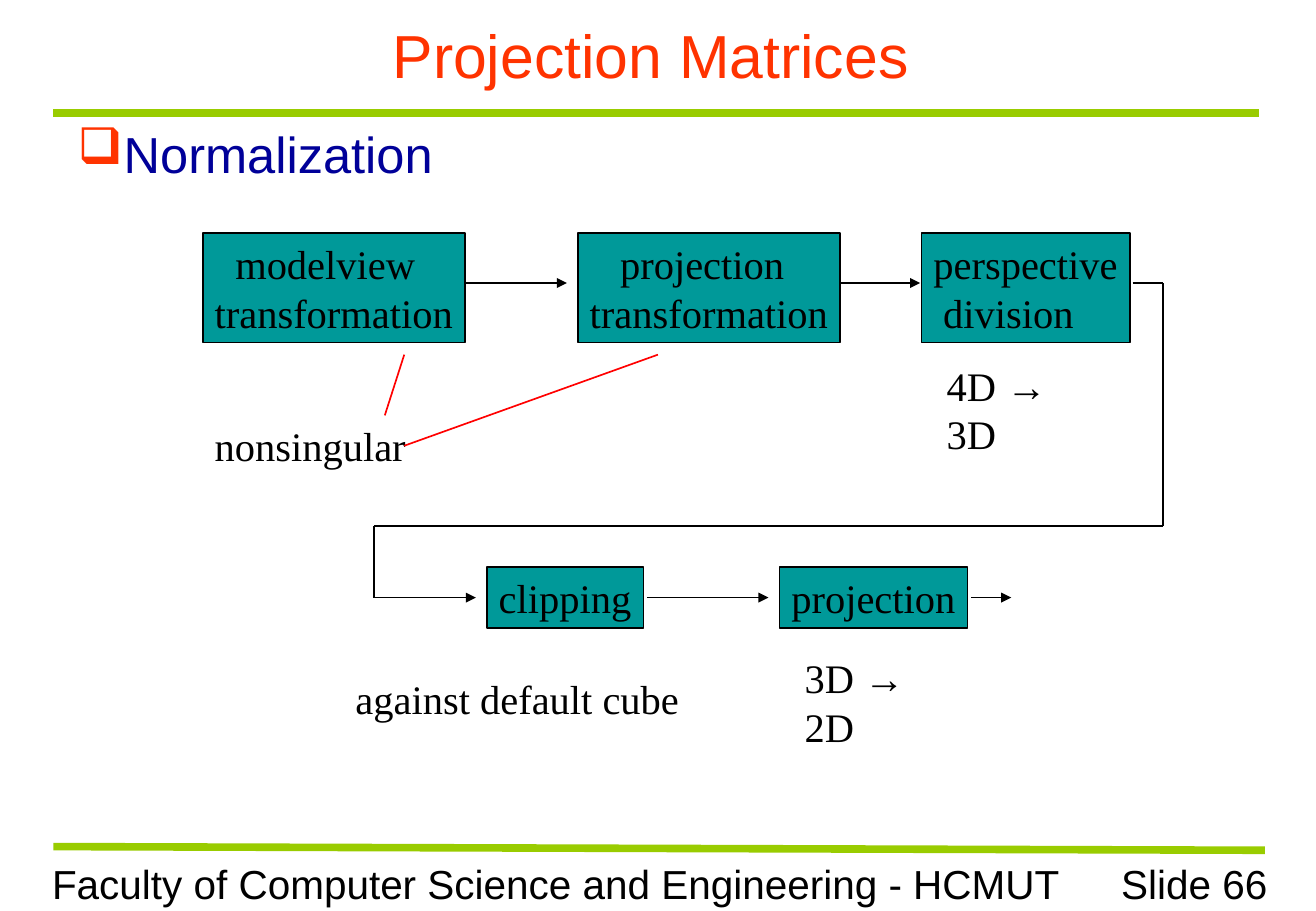
from itertools import pairwise

from lxml.etree import SubElement
from pptx import Presentation
from pptx.dml.color import RGBColor
from pptx.enum.shapes import MSO_CONNECTOR, MSO_SHAPE
from pptx.enum.text import MSO_ANCHOR, PP_ALIGN
from pptx.oxml.ns import qn
from pptx.util import Inches, Pt

BLACK = RGBColor(0x00, 0x00, 0x00)
RED = RGBColor(0xFF, 0x00, 0x00)
ORANGE = RGBColor(0xFF, 0x33, 0x00)
GREEN = RGBColor(0x99, 0xCC, 0x00)
TEAL = RGBColor(0x00, 0x99, 0x99)
NAVY = RGBColor(0x00, 0x00, 0x99)
SERIF, SANS = "Times New Roman", "Arial"
ROW_HEIGHT = {1: 0.5, 2: 0.9}

presentation = Presentation()
presentation.slide_width = Inches(10.84)
presentation.slide_height = Inches(7.5)
slide = presentation.slides.add_slide(presentation.slide_layouts[5])


def write(shape, *lines, font=SERIF, size=24, color=BLACK,
          align=PP_ALIGN.LEFT, anchor=MSO_ANCHOR.TOP, indents=(0, 0), bullet=None):
    """Fill a shape with one paragraph per line, indents in inches."""
    frame = shape.text_frame
    frame.word_wrap = True
    frame.vertical_anchor = anchor
    frame.margin_left, frame.margin_right = Inches(0.1), 0
    frame.margin_top = frame.margin_bottom = Inches(0.05)
    frame.text = "\n".join(lines)
    for paragraph, indent in zip(frame.paragraphs, indents):
        paragraph.alignment = align
        properties = paragraph._p.get_or_add_pPr()
        properties.set("marL", str(Inches(indent)))
        properties.set("indent", str(-Inches(indent) if bullet else 0))
        if bullet:
            bullet_color = SubElement(properties, qn("a:buClr"))
            SubElement(bullet_color, qn("a:srgbClr"), val=str(ORANGE))
            SubElement(properties, qn("a:buChar"), char=bullet)
        for run in paragraph.runs:
            run.font.name = font
            run.font.size = Pt(size)
            run.font.color.rgb = color
    return frame


def draw_line(start, end, color=BLACK, width=1, arrow=False):
    line = slide.shapes.add_connector(
        MSO_CONNECTOR.STRAIGHT, *map(Inches, (*start, *end)))
    line.line.color.rgb = color
    line.line.width = Pt(width)
    if arrow:
        SubElement(line.line._ln, qn("a:tailEnd"), type="triangle")
    SubElement(line._element.spPr, qn("a:effectLst"))


# Title, rules and footer
title = slide.shapes.title
title.left, title.top, title.width, title.height = map(Inches, (0.33, 0.1, 9.96, 0.7))
write(title, "Projection Matrices", font=SANS, size=36, color=ORANGE,
      align=PP_ALIGN.CENTER, anchor=MSO_ANCHOR.MIDDLE)
draw_line((0.44, 0.93), (10.37, 0.93), GREEN, 4.5)
draw_line((0.44, 6.97), (10.42, 7), GREEN, 4.5)

# Free text
labels = [
    (0.33, 7.02, 8.52, ["Faculty of Computer Science and Engineering - HCMUT"],
     dict(font=SANS)),
    (8.55, 7.02, 1.89, ["Slide 66"], dict(font=SANS, align=PP_ALIGN.RIGHT)),
    (0.54, 0.96, 9.75, ["Normalization"],
     dict(font=SANS, size=30, color=NAVY, indents=[0.38], bullet="❑")),
    (1.67, 3.42, 1.77, ["nonsingular"], {}),
    (2.83, 5.5, 2.86, ["against default cube"], {}),
    (7.7, 2.92, 1.45, ["4D →", "3D"], {}),
    (6.53, 5.33, 1.45, ["3D →", "2D"], {}),
]
for left, top, width, lines, style in labels:
    box = slide.shapes.add_textbox(
        *map(Inches, (left, top, width, ROW_HEIGHT[len(lines)])))
    frame = write(box, *lines, **style)
    for paragraph in frame.paragraphs:
        if "→" in paragraph.text:
            paragraph.runs[0].text = paragraph.text.rstrip("→")
            arrow_run = paragraph.add_run()
            arrow_run.text = "→"
            arrow_run.font.name = SANS
            arrow_run.font.size = Pt(24)
            arrow_run.font.color.rgb = BLACK

# Pipeline stages
stages = [
    (1.67, 1.92, 2.16, ["modelview", "transformation"], (0.17, 0)),
    (4.76, 1.92, 2.16, ["projection", "transformation"], (0.25, 0)),
    (7.59, 1.92, 1.72, ["perspective", "division"], (0, 0.08)),
    (4.01, 4.67, 1.29, ["clipping"], (0,)),
    (6.42, 4.67, 1.55, ["projection"], (0,)),
]
for left, top, width, lines, indents in stages:
    stage = slide.shapes.add_shape(
        MSO_SHAPE.RECTANGLE, *map(Inches, (left, top, width, ROW_HEIGHT[len(lines)])))
    stage.shadow.inherit = False
    stage.fill.solid()
    stage.fill.fore_color.rgb = TEAL
    stage.line.color.rgb = BLACK
    stage.line.width = Pt(1)
    write(stage, *lines, indents=indents)

# Flow between stages: the last stretch of each route has the arrowhead
UPPER, TURN, LOWER = 2.33, 4.33, 4.92
routes = [
    [(3.83, UPPER), (4.67, UPPER)],
    [(6.92, UPPER), (7.58, UPPER)],
    [(9.33, UPPER), (9.58, UPPER), (9.58, TURN), (3.08, TURN),
     (3.08, LOWER), (3.92, LOWER)],
    [(5.33, LOWER), (6.33, LOWER)],
    [(8, LOWER), (8.33, LOWER)],
]
for route in routes:
    for start, end in pairwise(route):
        draw_line(start, end, arrow=end == route[-1])

# Pointers to the nonsingular stages
draw_line((5.42, 2.92), (3.33, 3.67), RED)
draw_line((3.33, 2.92), (3.17, 3.42), RED)

presentation.save("out.pptx")
